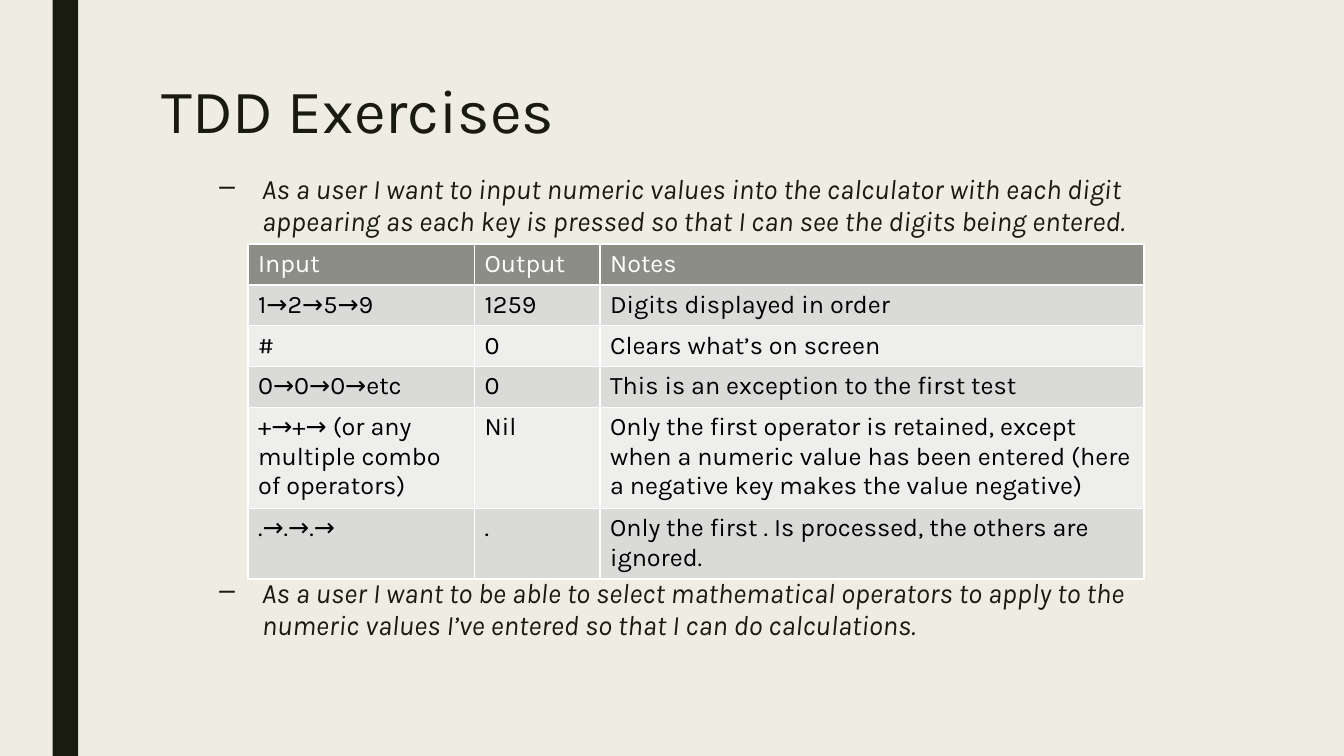
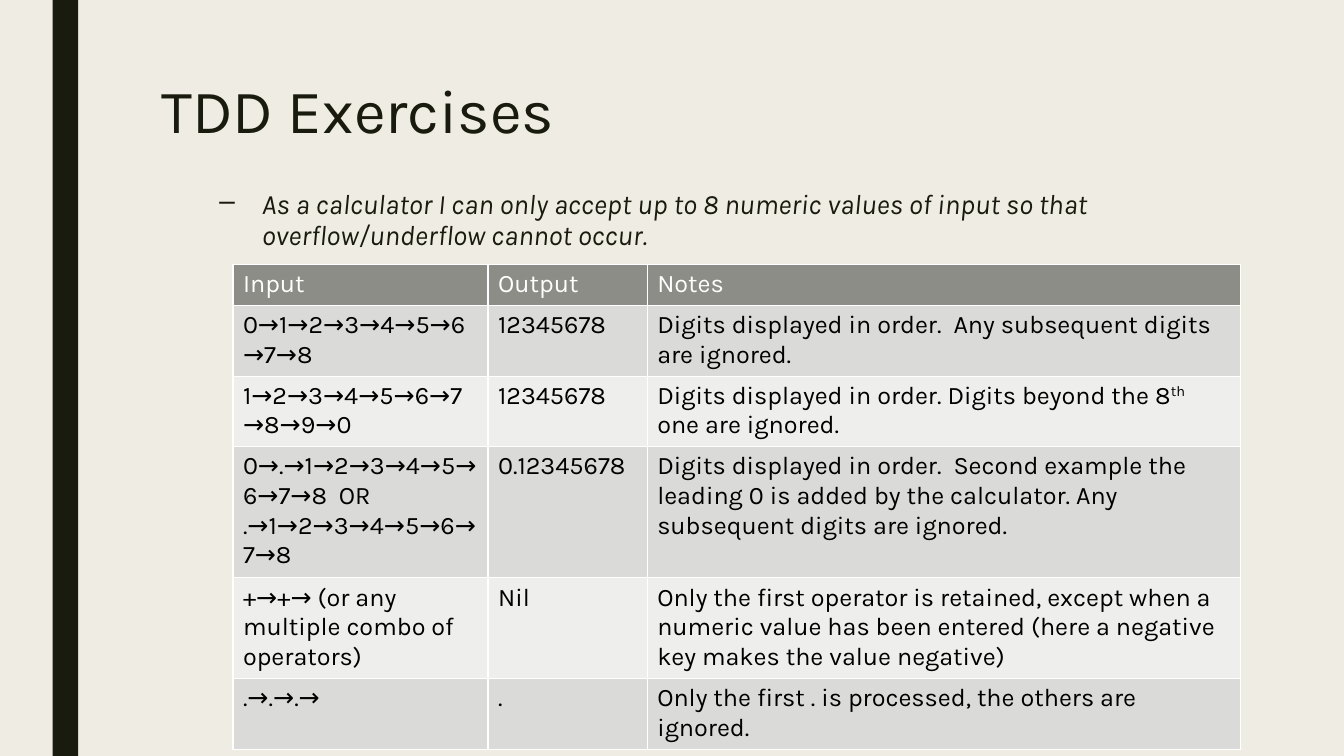
from dataclasses import dataclass

from lxml import etree
from pptx import Presentation
from pptx import util as u
from pptx.dml.color import RGBColor
from pptx.enum import shapes, text
from pptx.oxml import ns

# Content: ^ marks the start and end of a superscript, a newline a paragraph
TITLE = "TDD Exercises"
HEADS = ("Input", "Output", "Notes")
COMBO = (
    "+→+→ (or any multiple combo of operators)",
    "Nil",
    "Only the first operator is retained, except when a numeric value has been "
    "entered (here a negative key makes the value negative)",
)
SLIDES = [
    {
        "stories": [
            (4.27, "As a user I want to input numeric values into the calculator with "
                   "each digit appearing as each key is pressed so that I can see the "
                   "digits being entered."),
            (14.45, "As a user I want to be able to select mathematical operators to "
                    "apply to the numeric values I’ve entered so that I can do "
                    "calculations."),
        ],
        "at": (6.25, 6.15),
        "cols": (5.71, 3.16, 13.71),
        "rows": [
            ("1→2→5→9", "1259", "Digits displayed in order"),
            ("#", "0", "Clears what’s on screen"),
            ("0→0→0→etc", "0", "This is an exception to the first test"),
            COMBO,
            (".→.→.→", ".", "Only the first . Is processed, the others are ignored."),
        ],
    },
    {
        "stories": [
            (4.64, "As a calculator I can only accept up to 8 numeric values of input "
                   "so that overflow/underflow cannot occur."),
        ],
        "at": (5.87, 6.67),
        "cols": (6.43, 4.01, 14.96),
        "rows": [
            ("0→1→2→3→4→5→6→7→8", "12345678",
             "Digits displayed in order.  Any subsequent digits are ignored."),
            ("1→2→3→4→5→6→7→8→9→0", "12345678",
             "Digits displayed in order. Digits beyond the 8^th^ one are ignored."),
            ("0→.→1→2→3→4→5→6→7→8  OR\n.→1→2→3→4→5→6→7→8", "0.12345678",
             "Digits displayed in order.  Second example the leading 0 is added by "
             "the calculator. Any subsequent digits are ignored."),
            COMBO,
            (".→.→.→", ".", "Only the first . is processed, the others are ignored."),
        ],
    },
]


@dataclass(frozen=True)
class Theme:
    font: str = "Karla"
    paper: str = "EFEDE3"
    ink: str = "191B0E"
    head: str = "8C8D86"
    bands: tuple = ("DADBD9", "EEEEED")
    white: str = "FFFFFF"
    black: str = "000000"
    big: int = 44
    mid: int = 20
    small: int = 18


T = Theme()
WIDE, HIGH = u.Cm(33.87), u.Cm(19.05)
LEFT, SPAN = u.Cm(3.81), u.Cm(26.67)
ROW = u.Cm(1.03)


def paint(fill, color):
    fill.solid()
    fill.fore_color.rgb = RGBColor.from_string(color)


def write(frame, words, size, color, italic=False, line=None, before=None,
          after=None, bullet=None):
    """Fill a text frame with formatted paragraphs."""
    frame.word_wrap = True
    for n, part in enumerate(words.split("\n")):
        para = frame.add_paragraph() if n else frame.paragraphs[0]
        para.alignment = text.PP_ALIGN.LEFT
        para.line_spacing, para.space_before, para.space_after = line, before, after
        for k, piece in enumerate(part.split("^")):
            run = para.add_run()
            run.text = piece
            font = run.font
            font.name, font.size = T.font, u.Pt(size)
            font.bold, font.italic = False, italic
            font.color.rgb = RGBColor.from_string(color)
            if k % 2:
                run._r.get_or_add_rPr().set("baseline", "30000")
        if bullet:
            props = para._p.get_or_add_pPr()
            props.set("marL", str(u.Cm(2.54)))
            props.set("indent", str(-u.Cm(1.07)))
            etree.SubElement(props, ns.qn("a:buChar")).set("char", bullet)


def edge(cell):
    """Draw thin white borders round a cell."""
    props = cell._tc.get_or_add_tcPr()
    for side in ("lnL", "lnR", "lnT", "lnB"):
        line = etree.SubElement(props, ns.qn("a:" + side), w=str(u.Pt(1)))
        fill = etree.SubElement(line, ns.qn("a:solidFill"))
        etree.SubElement(fill, ns.qn("a:srgbClr"), val=T.white)


def frame_page(slide):
    """Add the side bar and set the title."""
    bar = slide.shapes.add_shape(
        shapes.MSO_SHAPE.RECTANGLE, u.Cm(1.33), 0, u.Cm(0.64), HIGH)
    bar.shadow.inherit = False
    paint(bar.fill, T.ink)
    bar.line.fill.background()

    title = slide.shapes.title
    title.left, title.top, title.width, title.height = LEFT, u.Cm(1.9), SPAN, u.Cm(4.11)
    title.text_frame.auto_size = text.MSO_AUTO_SIZE.NONE
    title.text_frame.vertical_anchor = text.MSO_ANCHOR.TOP
    write(title.text_frame, TITLE, T.big, T.ink, line=0.89)


def add_story(slide, top, words):
    box = slide.shapes.add_textbox(LEFT, u.Cm(top), SPAN, u.Cm(1.9))
    write(box.text_frame, words, T.mid, T.ink, italic=True, line=0.94,
          before=u.Pt(5), after=u.Pt(2), bullet="–")


def add_grid(slide, at, cols, rows):
    rows = [HEADS, *rows]
    left, top = map(u.Cm, at)
    grid = slide.shapes.add_table(
        len(rows), len(cols), left, top, u.Cm(sum(cols)), ROW * len(rows)).table
    grid.first_row = grid.horz_banding = False
    for col, width in zip(grid.columns, cols):
        col.width = u.Cm(width)
    for r, row in enumerate(rows):
        grid.rows[r].height = ROW
        for c, words in enumerate(row):
            cell = grid.cell(r, c)
            edge(cell)
            paint(cell.fill, T.bands[(r - 1) % 2] if r else T.head)
            write(cell.text_frame, words, T.small, T.black if r else T.white)


def main():
    deck = Presentation()
    deck.slide_width, deck.slide_height = WIDE, HIGH
    paint(deck.slide_master.background.fill, T.paper)
    for page in SLIDES:
        slide = deck.slides.add_slide(deck.slide_layouts[5])
        frame_page(slide)
        for top, words in page["stories"]:
            add_story(slide, top, words)
        add_grid(slide, page["at"], page["cols"], page["rows"])
    deck.save("out.pptx")


if __name__ == "__main__":
    main()
